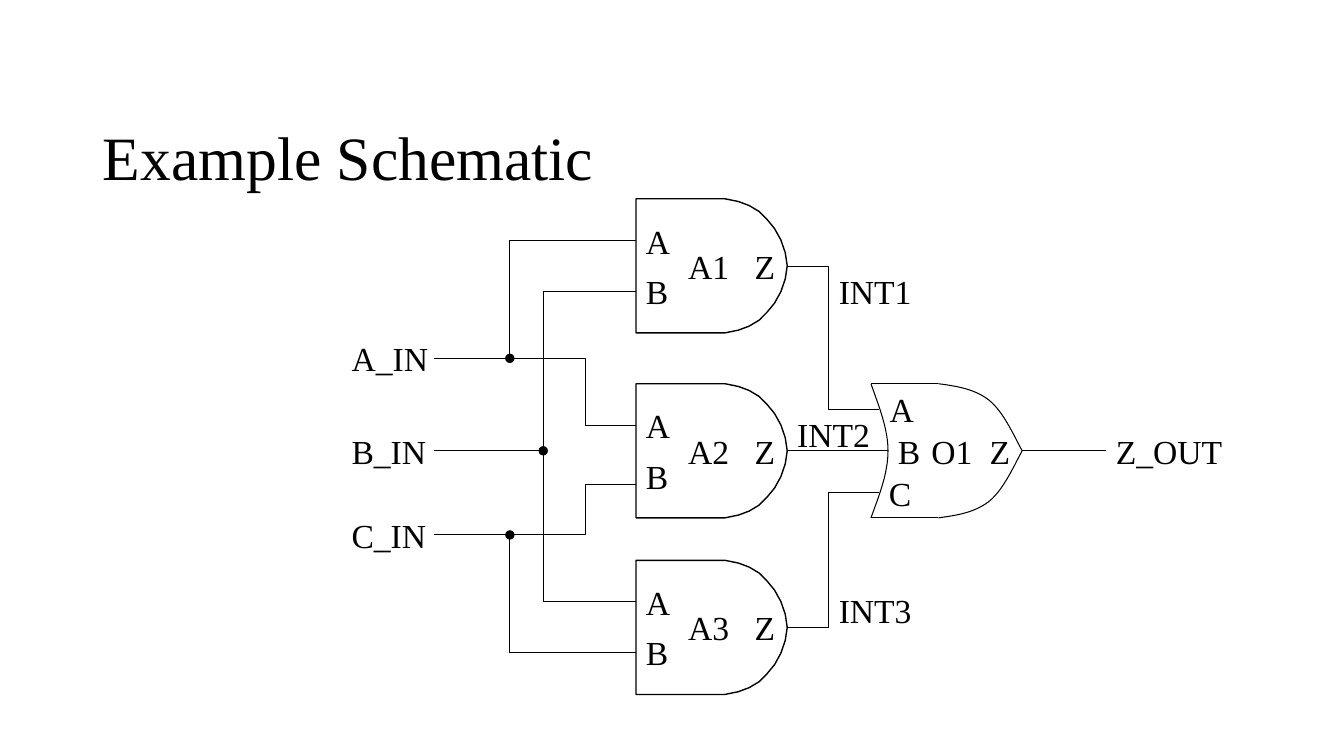
from lxml import etree
from pptx import Presentation
from pptx import util as u
from pptx.dml.color import RGBColor
from pptx.enum import shapes, text
from pptx.oxml import ns

# All positions are centimetres.
BLACK = RGBColor(0, 0, 0)
WHITE = RGBColor(255, 255, 255)
FONT = "Times New Roman"
TITLE = "Example Schematic"
LABEL_HEIGHT = 1.27
LABEL_WIDTHS = {1: 1.08, 2: 1.55, 4: 2.46, 5: 3.22}  # by number of letters

# Columns and rows shared by wires, dots and gates
INPUT_X, OUTER_X, INNER_X, BEND_X = 10.95, 12.85, 13.69, 14.76
AND_X, AND_OUT_X, INT_X = 16.03, 19.84, 20.89
OR_X, OR_PIN_X, OR_MID_X, OR_BODY_X = 21.95, 22.15, 22.38, 22.78
OR_FLAT_X, OR_TIP_X = 23.65, 25.76
OUTPUT_X = 27.87
ROW_A, ROW_B, ROW_C = 9.03, 11.36, 13.48
GATE_HEIGHT = 3.38
OR_TOP = 9.67
OR_BOTTOM = OR_TOP + GATE_HEIGHT

AND_GATES = [("A1", 5.01), ("A2", 9.67), ("A3", 14.12)]
AND_LABELS = [("A", 0, 0.42), ("B", 0, 1.69), ("Z", 2.74, 1.06)]
AND_NAME = (1.06, 1.06)
# Distance from the left edge and from the centre line
AND_NOSE = [(2.24, 1.69), (2.58, 1.62), (2.85, 1.52), (3.1, 1.37), (3.3, 1.17),
            (3.49, 0.94), (3.65, 0.65), (3.76, 0.33), (3.81, 0)]

OR_BODY = [(OR_X, OR_TOP), (OR_MID_X, 10.94), (OR_MID_X, 11.78), (OR_X, OR_BOTTOM),
           (OR_BODY_X, OR_BOTTOM), (OR_BODY_X, OR_TOP)]
OR_BACK = [[(OR_X, OR_TOP), (22.15, 10.24), (OR_MID_X, 10.8), (OR_MID_X, ROW_B)],
           [(OR_MID_X, ROW_B), (OR_MID_X, 11.94), (22.15, 12.5), (OR_X, OR_BOTTOM)]]
OR_UPPER = [[(OR_FLAT_X, OR_TOP), (24.1, 9.73), (24.56, 9.8), (24.92, 10.08)],
            [(24.92, 10.08), (25.27, 10.36), (25.5, 10.87), (OR_TIP_X, ROW_B)]]
OR_LOWER = [[(x, 2 * ROW_B - y) for x, y in curve] for curve in OR_UPPER]

LABELS = [
    ("A_IN", 8.61, 8.4), ("B_IN", 8.61, 10.73), ("C_IN", 8.61, 12.85),
    ("Z_OUT", OUTPUT_X, 10.73),
    ("INT1", INT_X, 6.71), ("INT2", AND_OUT_X, 10.31), ("INT3", INT_X, 14.75),
    ("A", 22.17, 9.67), ("B", OR_MID_X, 10.73), ("C", 22.15, 11.79),
    ("O1", 23.22, 10.73), ("Z", 24.69, 10.73),
]
BENT_WIRES = [
    [(INPUT_X, ROW_A), (BEND_X, ROW_A), (BEND_X, 10.73), (AND_X, 10.73)],
    [(INPUT_X, ROW_C), (BEND_X, ROW_C), (BEND_X, 12.22), (AND_X, 12.22)],
    [(AND_X, 7.35), (INNER_X, 7.35), (INNER_X, 15.17), (AND_X, 15.17)],
    [(AND_X, 6.07), (OUTER_X, 6.07), (OUTER_X, ROW_A)],
    [(AND_X, 16.44), (OUTER_X, 16.44), (OUTER_X, ROW_C)],
    [(AND_OUT_X, 6.71), (INT_X, 6.71), (INT_X, 10.31), (OR_PIN_X, 10.31)],
    [(AND_OUT_X, 15.81), (INT_X, 15.81), (INT_X, 12.42), (OR_PIN_X, 12.42)],
]
# Straight wires on the middle row: start and end columns
STRAIGHT_WIRES = [(INPUT_X, INNER_X), (AND_OUT_X, OR_MID_X), (OR_TIP_X, OUTPUT_X)]
DOTS = [(OUTER_X, ROW_A), (INNER_X, ROW_B), (OUTER_X, ROW_C)]
DOT_SIZE = 0.21


def add_text(parent, wording, left, top, width, height, size):
    box = parent.add_textbox(u.Cm(left), u.Cm(top), u.Cm(width), u.Cm(height))
    paragraph = box.text_frame.paragraphs[0]
    paragraph.text = wording
    paragraph.font.name = FONT
    paragraph.font.size = u.Pt(size)
    paragraph.font.color.rgb = BLACK
    return box.text_frame


def add_label(parent, wording, left, top):
    frame = add_text(parent, wording, left, top, LABEL_WIDTHS[len(wording)],
                     LABEL_HEIGHT, 24)
    frame.word_wrap = False
    frame.auto_size = text.MSO_AUTO_SIZE.SHAPE_TO_FIT_TEXT


def style(shape, fill=None, line=BLACK, weight=0.75):
    shape.shadow.inherit = False
    if fill is None:
        shape.fill.background()
    else:
        shape.fill.solid()
        shape.fill.fore_color.rgb = fill
    shape.line.color.rgb = line
    shape.line.width = u.Pt(weight)


def add_preset(parent, kind, left, top, width, height, fill):
    shape = parent.add_shape(kind, u.Cm(left), u.Cm(top), u.Cm(width), u.Cm(height))
    style(shape, fill, fill)


def add_outline(parent, points, closed=False):
    corners = [(u.Cm(x), u.Cm(y)) for x, y in points]
    builder = parent.build_freeform(*corners[0])
    builder.add_line_segments(corners[1:], close=closed)
    return builder.convert_to_shape()


def add_straight_line(parent, start, end, y):
    line = parent.add_connector(shapes.MSO_CONNECTOR.STRAIGHT, u.Cm(start), u.Cm(y),
                                u.Cm(end), u.Cm(y))
    line.line.color.rgb = BLACK
    line.line.width = u.Pt(0.75)
    properties = line._element.find(ns.qn("p:spPr"))
    etree.SubElement(properties, ns.qn("a:effectLst"))


def trace(curves, steps=12):
    """Return points along a chain of cubic Bezier curves."""
    points = [curves[0][0]]
    for curve in curves:
        for step in range(1, steps + 1):
            t = step / steps
            weights = ((1 - t) ** 3, 3 * t * (1 - t) ** 2, 3 * t ** 2 * (1 - t), t ** 3)
            points.append(tuple(sum(w * p[axis] for w, p in zip(weights, curve))
                                for axis in (0, 1)))
    return points


def add_or_gate(slide):
    gate = slide.shapes.add_group_shape().shapes
    add_preset(gate, shapes.MSO_SHAPE.FLOWCHART_DELAY, OR_BODY_X, OR_TOP,
               OR_TIP_X - OR_BODY_X, GATE_HEIGHT, WHITE)
    style(add_outline(gate, OR_BODY, True), WHITE, WHITE)
    style(add_outline(gate, trace(OR_BACK)))
    for y in (OR_TOP, OR_BOTTOM):
        add_straight_line(gate, OR_X, OR_FLAT_X, y)
    for curves in (OR_UPPER, OR_LOWER):
        style(add_outline(gate, trace(curves)), WHITE)


def add_and_gate(slide, top):
    gate = slide.shapes.add_group_shape().shapes
    centre = top + GATE_HEIGHT / 2
    lower = [(AND_X + x, centre + y) for x, y in AND_NOSE]
    upper = [(AND_X + x, centre - y) for x, y in reversed(AND_NOSE[:-1])]
    back = [(AND_X, top), (AND_X, top + GATE_HEIGHT)]
    style(add_outline(gate, back + lower + upper, True), WHITE, weight=1)
    for wording, x, y in AND_LABELS:
        add_label(gate, wording, AND_X + x, top + y)


def main():
    presentation = Presentation()
    presentation.slide_width = u.Cm(33.87)
    presentation.slide_height = u.Cm(19.05)
    slide = presentation.slides.add_slide(presentation.slide_layouts[6])

    title = add_text(slide.shapes, TITLE, 2.34, 3.05, 29.21, 2.01, 44)
    title.word_wrap = True
    title.vertical_anchor = text.MSO_ANCHOR.MIDDLE
    title.paragraphs[0].line_spacing = 0.9

    add_or_gate(slide)
    for points in BENT_WIRES:
        style(add_outline(slide.shapes, points))
    for start, end in STRAIGHT_WIRES:
        add_straight_line(slide.shapes, start, end, ROW_B)
    for x, y in DOTS:
        add_preset(slide.shapes, shapes.MSO_SHAPE.OVAL, x - DOT_SIZE / 2,
                   y - DOT_SIZE / 2, DOT_SIZE, DOT_SIZE, BLACK)
    for name, top in AND_GATES:
        add_and_gate(slide, top)
        add_label(slide.shapes, name, AND_X + AND_NAME[0], top + AND_NAME[1])
    for wording, left, top in LABELS:
        add_label(slide.shapes, wording, left, top)

    presentation.save("out.pptx")


if __name__ == "__main__":
    main()
